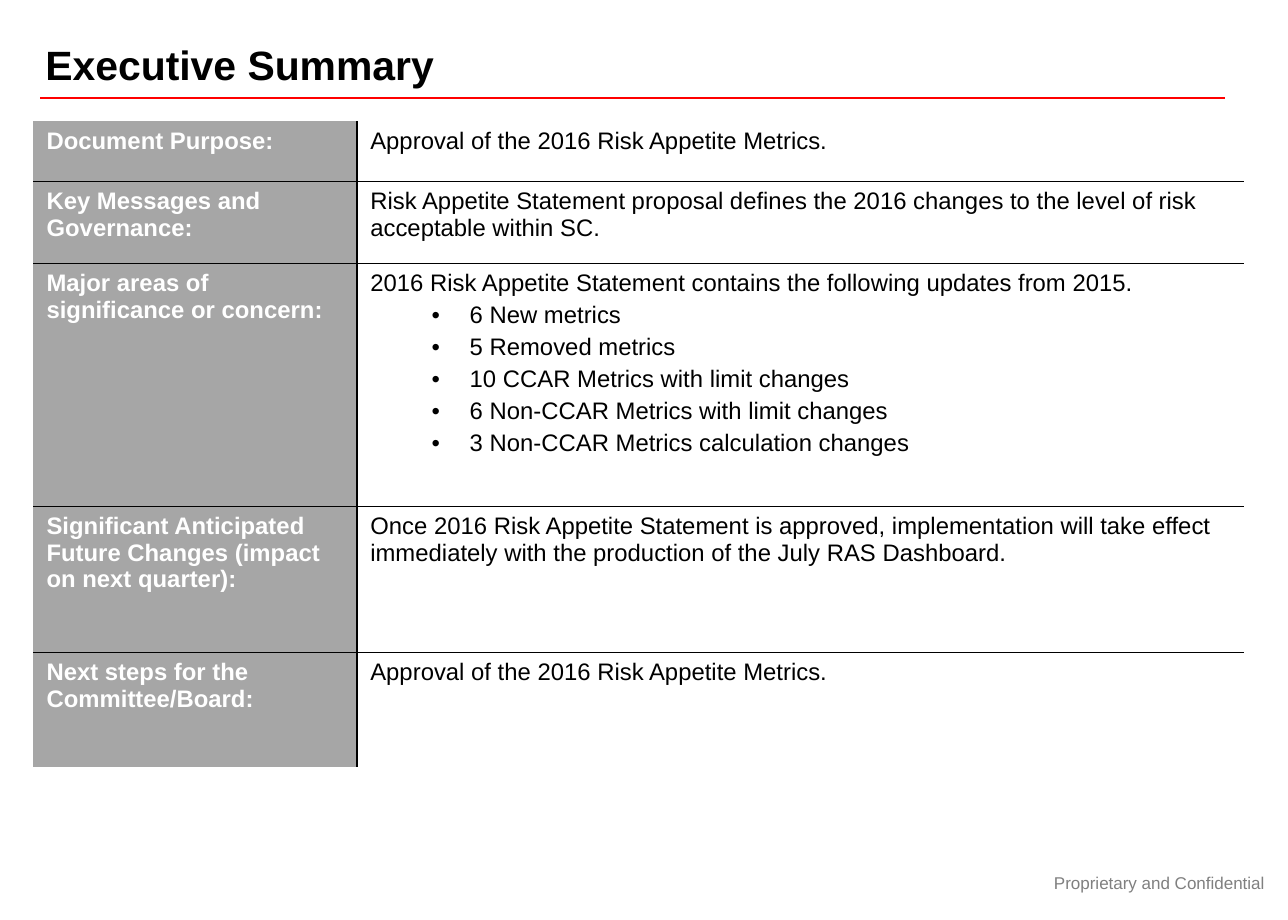
"""Build the executive summary slide: ruled title, summary table and footer."""
from lxml import etree
from pptx import Presentation, util as u
from pptx.dml.color import RGBColor
from pptx.enum import shapes, text
from pptx.oxml import ns

WIDTH, HEIGHT = 10.5, 7.5
FONT = "Arial"
COLOURS = {"ink": "000000", "label_text": "FFFFFF", "label_fill": "A6A6A6",
           "rule": "FF0000", "footer": "808080"}
COLUMN_SHARES = (25.14, 68.86)
SUMMARY = [
    (6.53, "Document Purpose:", "Approval of the 2016 Risk Appetite Metrics.", []),
    (8.93, "Key Messages and Governance:",
     "Risk Appetite Statement proposal defines the 2016 changes to the level of risk "
     "acceptable within SC.", []),
    (26.4, "Major areas of significance or concern:",
     "2016 Risk Appetite Statement contains the following updates from 2015.",
     ["6 New metrics", "5 Removed metrics", "10 CCAR Metrics with limit changes",
      "6 Non-CCAR Metrics with limit changes", "3 Non-CCAR Metrics calculation changes"]),
    (15.87, "Significant Anticipated Future Changes (impact on next quarter):",
     "Once 2016 Risk Appetite Statement is approved, implementation will take effect "
     "immediately with the production of the July RAS Dashboard.", []),
    (12.4, "Next steps for the Committee/Board:",
     "Approval of the 2016 Risk Appetite Metrics.", []),
]


def across(percent):
    """Return a percentage of the slide width."""
    return u.Inches(WIDTH * percent / 100)


def down(percent):
    """Return a percentage of the slide height."""
    return u.Inches(HEIGHT * percent / 100)


def colour(name):
    """Return the named colour."""
    return RGBColor.from_string(COLOURS[name])


def write(paragraph, words, size, ink, bold=False):
    """Add one formatted run to a paragraph."""
    run = paragraph.add_run()
    run.text = words
    run.font.name, run.font.size, run.font.bold = FONT, u.Pt(size), bold
    run.font.color.rgb = colour(ink)


def add_bullet(paragraph):
    """Give a paragraph a hanging bullet."""
    properties = paragraph._p.get_or_add_pPr()
    properties.set("marL", str(u.Inches(0.81)))
    properties.set("indent", str(u.Inches(-0.31)))
    etree.SubElement(properties, ns.qn("a:buFont"), typeface=FONT)
    etree.SubElement(properties, ns.qn("a:buChar"), char="•")


def set_borders(cell, drawn):
    """Draw the listed sides of a cell and clear the others."""
    properties = cell._tc.get_or_add_tcPr()
    for index, side in enumerate("LRTB"):
        border = etree.Element(ns.qn(f"a:ln{side}"), w=str(u.Pt(1)))
        if side in drawn:
            fill = etree.SubElement(border, ns.qn("a:solidFill"))
            etree.SubElement(fill, ns.qn("a:srgbClr"), val=COLOURS["ink"])
        else:
            etree.SubElement(border, ns.qn("a:noFill"))
        properties.insert(index, border)


def add_title(slide, words):
    """Fill and place the title placeholder."""
    title = slide.shapes.title
    title.left, title.top = across(2.57), down(3.6)
    title.width, title.height = across(97.43), down(6.67)
    frame = title.text_frame
    frame.auto_size = text.MSO_AUTO_SIZE.NONE
    frame.vertical_anchor = text.MSO_ANCHOR.TOP
    paragraph = frame.paragraphs[0]
    paragraph.alignment = text.PP_ALIGN.LEFT
    write(paragraph, words, 24, "ink", bold=True)


def add_rule(slide):
    """Draw the line under the title."""
    rule = slide.shapes.add_connector(
        shapes.MSO_CONNECTOR.STRAIGHT, across(3.14), down(10.67), across(95.14), down(10.67))
    rule.line.color.rgb = colour("rule")
    rule.line.width = u.Pt(1)
    etree.SubElement(rule._element.spPr, ns.qn("a:effectLst"))


def fill_cell(cell, words, bullets, is_label):
    """Write a statement and its bullets into a cell."""
    cell.margin_left = cell.margin_right = u.Inches(0.11)
    cell.margin_top = cell.margin_bottom = u.Inches(0.05)
    cell.vertical_anchor = text.MSO_ANCHOR.TOP
    if is_label:
        cell.fill.solid()
        cell.fill.fore_color.rgb = colour("label_fill")
    else:
        cell.fill.background()
    frame = cell.text_frame
    ink = "label_text" if is_label else "ink"
    write(frame.paragraphs[0], words, 14, ink, bold=is_label)
    for bullet in bullets:
        paragraph = frame.add_paragraph()
        paragraph.level = 1
        add_bullet(paragraph)
        write(paragraph, bullet, 14, ink)
    if bullets:
        for paragraph in frame.paragraphs:
            paragraph.space_after = u.Pt(3)


def add_summary(slide):
    """Add the table of labels and statements."""
    frame = slide.shapes.add_table(
        len(SUMMARY), len(COLUMN_SHARES), across(2.57), down(13.2),
        across(sum(COLUMN_SHARES)), down(sum(row[0] for row in SUMMARY)))
    table = frame.table
    table.first_row = table.horz_banding = False
    for column, share in zip(table.columns, COLUMN_SHARES):
        column.width = across(share)
    last = len(SUMMARY) - 1
    for index, (share, label, statement, bullets) in enumerate(SUMMARY):
        table.rows[index].height = down(share)
        level_sides = ("T" if index else "") + ("B" if index < last else "")
        label_cell, statement_cell = table.cell(index, 0), table.cell(index, 1)
        fill_cell(label_cell, label, [], True)
        fill_cell(statement_cell, statement, bullets, False)
        set_borders(label_cell, "R" + level_sides)
        set_borders(statement_cell, "L" + level_sides)


def add_footer(slide, words):
    """Add the confidentiality note at the lower right."""
    box = slide.shapes.add_textbox(across(80), down(93.33), across(20), down(5.33))
    frame = box.text_frame
    frame.word_wrap = True
    frame.margin_left = frame.margin_right = 0
    frame.vertical_anchor = text.MSO_ANCHOR.MIDDLE
    paragraph = frame.paragraphs[0]
    paragraph.alignment = text.PP_ALIGN.CENTER
    write(paragraph, words, 10, "footer")


def main():
    """Create and save the presentation."""
    presentation = Presentation()
    presentation.slide_width, presentation.slide_height = across(100), down(100)
    slide = presentation.slides.add_slide(presentation.slide_layouts[5])
    add_rule(slide)
    add_footer(slide, "Proprietary and Confidential")
    add_title(slide, "Executive Summary")
    add_summary(slide)
    presentation.save("out.pptx")


if __name__ == "__main__":
    main()
